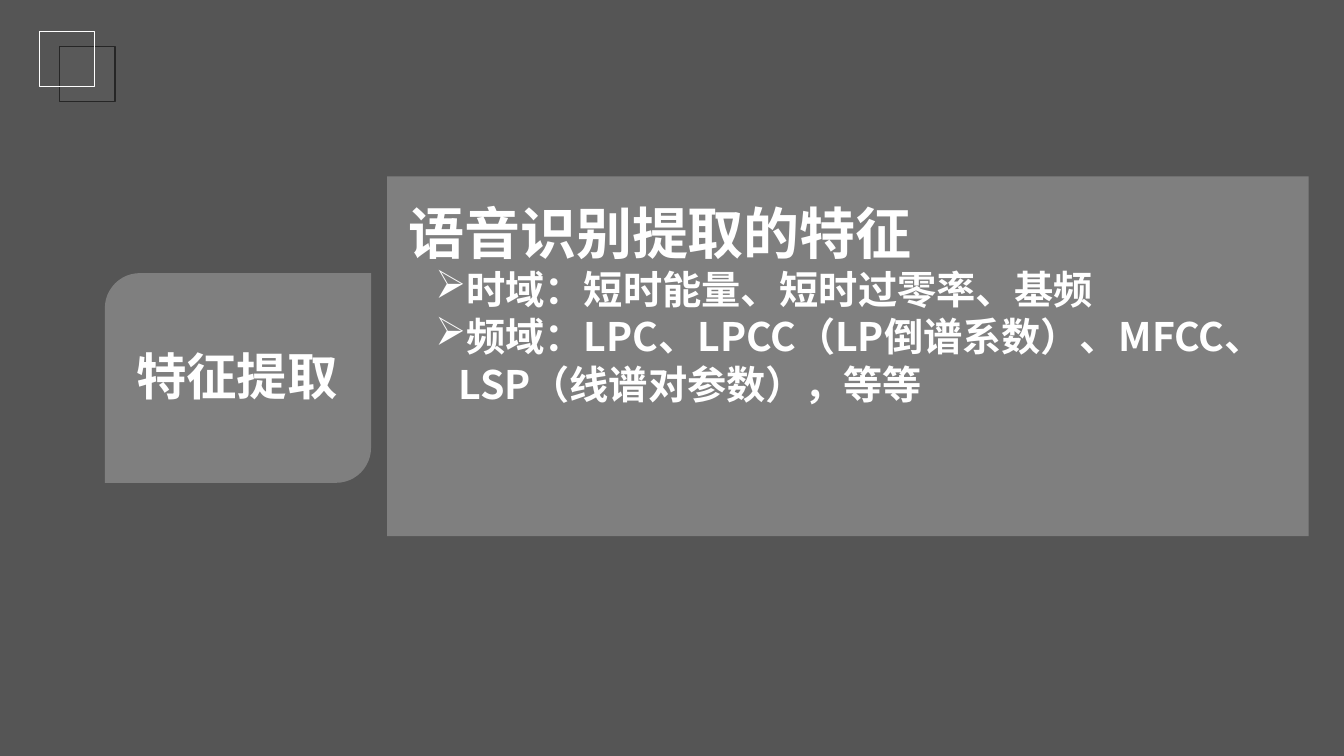
"""Build the slide on features used in speech recognition."""
from typing import NamedTuple, Optional

from lxml.etree import SubElement
from pptx import Presentation
from pptx.dml.color import RGBColor
from pptx.enum.shapes import MSO_SHAPE
from pptx.enum.text import MSO_ANCHOR, MSO_AUTO_SIZE, PP_ALIGN
from pptx.oxml.ns import qn
from pptx.util import Inches, Pt

FONT = "Noto Sans CJK SC"
WHITE = "FFFFFF"


class Panel(NamedTuple):
    kind: MSO_SHAPE
    box: tuple
    fill: Optional[str] = None
    line: Optional[str] = None
    alpha: int = 100


PANELS = [
    Panel(MSO_SHAPE.RECTANGLE, (0, 0, 13.33, 7.5), "0D0D0D", alpha=70),
    Panel(MSO_SHAPE.RECTANGLE, (0.59, 0.46, 0.55, 0.55), "595959", "262626"),
    Panel(MSO_SHAPE.RECTANGLE, (0.39, 0.31, 0.55, 0.55), line=WHITE),
    Panel(MSO_SHAPE.ROUND_2_DIAG_RECTANGLE, (1.04, 2.71, 2.64, 2.08), WHITE, alpha=25),
    Panel(MSO_SHAPE.RECTANGLE, (3.84, 1.75, 9.14, 3.57), WHITE, alpha=25),
]
POINTS = [
    "时域：短时能量、短时过零率、基频",
    "频域：LPC、LPCC（LP倒谱系数）、MFCC、LSP（线谱对参数），等等",
]


def paint(color, value: str) -> None:
    color.rgb = RGBColor.from_string(value)


def draw(slide, panel: Panel) -> None:
    shape = slide.shapes.add_shape(panel.kind, *map(Inches, panel.box))
    shape.shadow.inherit = False
    if panel.fill:
        shape.fill.solid()
        paint(shape.fill.fore_color, panel.fill)
        if panel.alpha < 100:
            tint = shape._element.spPr.find(qn("a:solidFill"))[0]
            SubElement(tint, qn("a:alpha"), val=str(panel.alpha * 1000))
    else:
        shape.fill.background()
    if panel.line:
        paint(shape.line.color, panel.line)
        shape.line.width = Pt(1)
    else:
        shape.line.fill.background()


def write(para, text: str, *, size: int, align=PP_ALIGN.LEFT, bullet: str = "") -> None:
    para.alignment = align
    if bullet:
        para.level = 1
        props = para._p.get_or_add_pPr()
        props.set("marL", str(Inches(0.5)))
        props.set("indent", str(Inches(-0.23)))
        SubElement(props, qn("a:buChar"), char=bullet)
    run = para.add_run()
    run.text = text
    font = run.font
    font.size, font.bold, font.name = Pt(size), True, FONT
    paint(font.color, WHITE)
    SubElement(run._r.get_or_add_rPr(), qn("a:ea"), typeface=FONT)


def label(slide, text: str) -> None:
    title = slide.shapes.title
    title.left, title.top, title.width, title.height = map(Inches, (1.04, 3.32, 2.62, 0.8))
    frame = title.text_frame
    frame.word_wrap = False
    frame.auto_size = MSO_AUTO_SIZE.NONE
    frame.vertical_anchor = MSO_ANCHOR.MIDDLE
    frame.margin_top = frame.margin_bottom = 0
    write(frame.paragraphs[0], text, size=36, align=PP_ALIGN.CENTER)
    slide.shapes._spTree.append(title._element)


def body(slide) -> None:
    frame = slide.shapes.add_textbox(*map(Inches, (3.95, 1.92, 8.89, 3.12))).text_frame
    frame.word_wrap = True
    write(frame.paragraphs[0], "语音识别提取的特征", size=40)
    for point in POINTS:
        write(frame.add_paragraph(), point, size=28, bullet="➢")


def main() -> None:
    deck = Presentation()
    deck.slide_width, deck.slide_height = Inches(13.33), Inches(7.5)
    slide = deck.slides.add_slide(deck.slide_layouts[5])
    slide.background.fill.solid()
    paint(slide.background.fill.fore_color, WHITE)
    for panel in PANELS:
        draw(slide, panel)
    label(slide, "特征提取")
    body(slide)
    deck.save("out.pptx")


if __name__ == "__main__":
    main()
